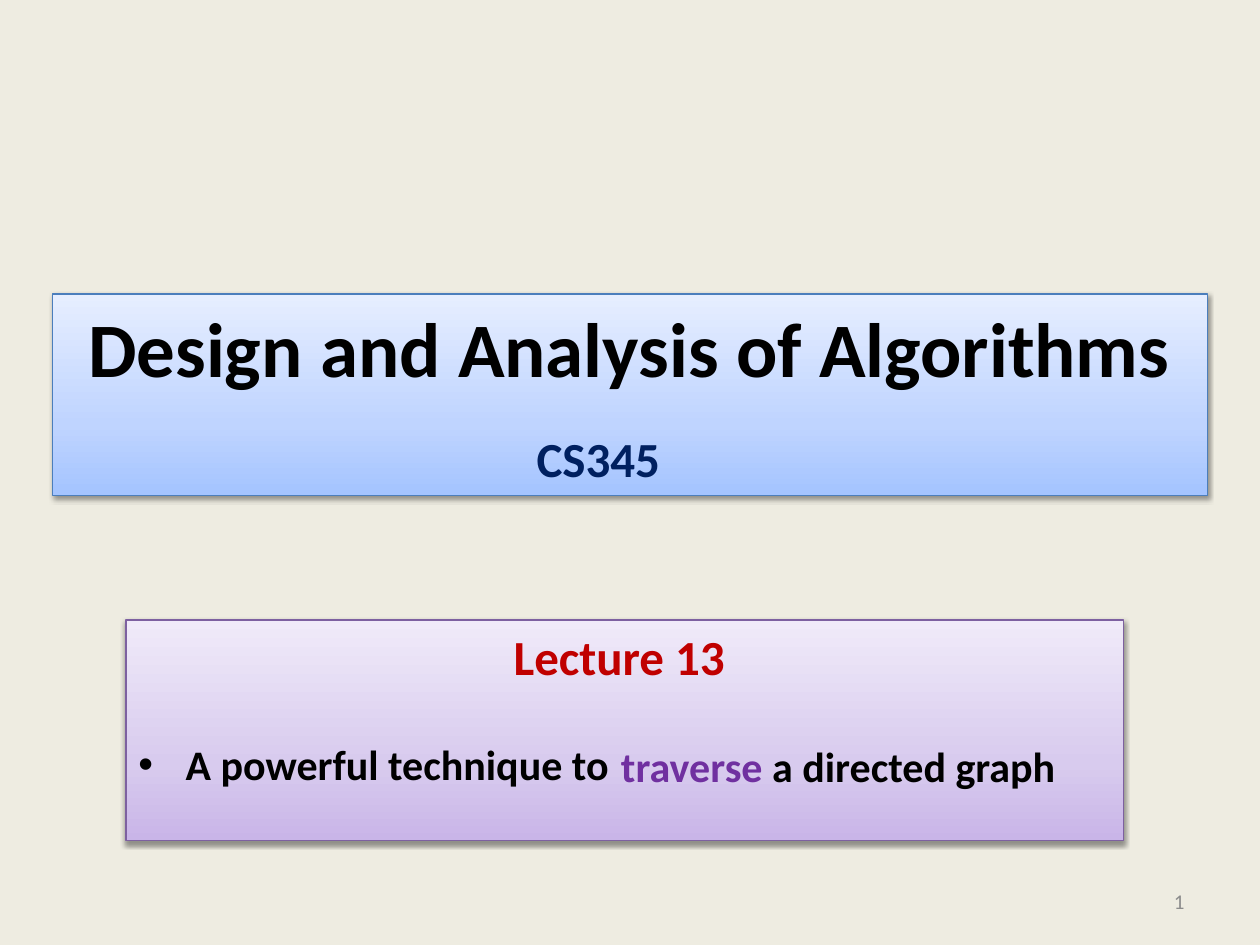
from lxml.etree import fromstring
from pptx import Presentation
from pptx.dml.color import RGBColor
from pptx.enum.shapes import MSO_SHAPE
from pptx.enum.text import MSO_ANCHOR, MSO_AUTO_SIZE, PP_ALIGN
from pptx.oxml.ns import nsdecls
from pptx.util import Pt


def color(value):
    return RGBColor.from_string(value)


def write(para, spans, size, bold=True):
    for text, tint in spans:
        span = para.add_run()
        span.text = text
        font_format = {"name": "Calibri", "size": Pt(size), "bold": bold}
        for key, value in font_format.items():
            setattr(span.font, key, value)
        span.font.color.rgb = color(tint)


deck = Presentation()
deck.slide_width, deck.slide_height = Pt(720), Pt(540)
page = deck.slides.add_slide(deck.slide_layouts[5])
page.background.fill.solid()
page.background.fill.fore_color.rgb = color("EEECE1")

# Gradient panels: course title and lecture topic
title = page.shapes.title
lecture = page.shapes.add_shape(MSO_SHAPE.RECTANGLE, Pt(72), Pt(354.25), Pt(570), Pt(126))
title_place = {"left": 30, "top": 168, "width": 660, "height": 115}
for key, value in title_place.items():
    setattr(title, key, Pt(value))

panels = [
    (title, "4B7EBC", ["A4C4FF", "BFD4FF", "E6EEFF"]),
    (lecture, "7D60A0", ["C9B5E8", "D8CBEE", "F0EAF9"]),
]
for panel, outline, tints in panels:
    panel.line.color.rgb = color(outline)
    panel.line.width = Pt(0.75)
    stops = "".join(
        f'<a:gs pos="{percent * 1000}"><a:srgbClr val="{tint}"/></a:gs>'
        for percent, tint in zip((0, 35, 100), tints)
    )
    panel.line._ln.addprevious(fromstring(
        f'<a:gradFill {nsdecls("a")} rotWithShape="1"><a:gsLst>{stops}</a:gsLst>'
        '<a:lin ang="16200000" scaled="0"/></a:gradFill>'))
    panel.line._ln.addnext(fromstring(
        f'<a:effectLst {nsdecls("a")}><a:outerShdw blurRad="{Pt(3.1)}" dist="{Pt(1.6)}" '
        'dir="5400000" rotWithShape="0"><a:srgbClr val="000000"><a:alpha val="38000"/>'
        '</a:srgbClr></a:outerShdw></a:effectLst>'))
    frame_format = {"auto_size": MSO_AUTO_SIZE.NONE, "word_wrap": True,
                    "vertical_anchor": MSO_ANCHOR.TOP}
    for key, value in frame_format.items():
        setattr(panel.text_frame, key, value)

heading = title.text_frame.paragraphs[0]
heading.alignment = PP_ALIGN.CENTER
write(heading, [("Design and Analysis of Algorithms", "000000")], 44)

number = lecture.text_frame.paragraphs[0]
number.alignment = PP_ALIGN.CENTER
write(number, [("Lecture 13 ", "C00000")], 28)

# Bulleted topic
topic = lecture.text_frame.add_paragraph()
topic.alignment = PP_ALIGN.LEFT
topic.space_before = Pt(30.5)
properties = topic._p.get_or_add_pPr()
properties.set("marL", str(Pt(27)))
properties.set("indent", str(Pt(-27)))
for bullet in ('<a:buFont {} typeface="Arial"/>', '<a:buChar {} char="•"/>'):
    properties.append(fromstring(bullet.format(nsdecls("a"))))
write(topic, [("A powerful technique to", "000000")], 24)

# Free text: course code, rest of the topic, page number
labels = [
    (299.5, 241, 120, 41, [("CS345", "002060")], 28, True, PP_ALIGN.LEFT),
    (347.75, 419.75, 265, 36,
     [("traverse ", "7030A0"), ("a directed graph", "000000")], 24, True, PP_ALIGN.LEFT),
    (516, 500.5, 168, 28.75, [("1", "8C8C8C")], 12, False, PP_ALIGN.RIGHT),
]
for left, top, width, height, spans, size, bold, alignment in labels:
    box = page.shapes.add_textbox(Pt(left), Pt(top), Pt(width), Pt(height))
    box.text_frame.word_wrap = True
    box.text_frame.vertical_anchor = MSO_ANCHOR.MIDDLE
    para = box.text_frame.paragraphs[0]
    para.alignment = alignment
    write(para, spans, size, bold)

deck.save("out.pptx")
